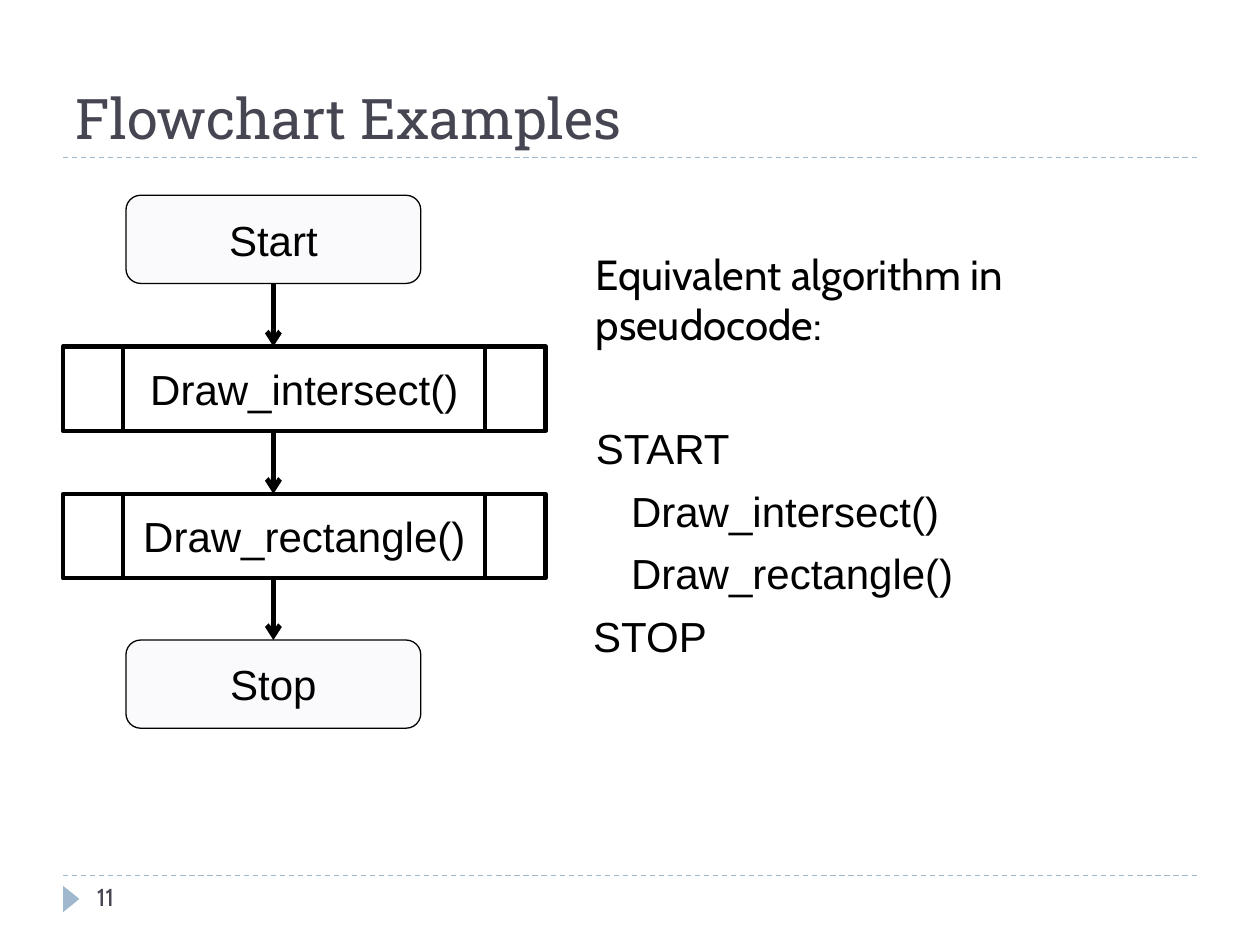
from pptx import Presentation
from pptx.dml.color import RGBColor
from pptx.enum.dml import MSO_LINE_DASH_STYLE as Dash
from pptx.enum.shapes import MSO_CONNECTOR as Connector, MSO_SHAPE as Shape
from pptx.enum.text import MSO_ANCHOR as Anchor, PP_ALIGN as Align
from pptx.oxml.ns import qn
from pptx.util import Inches, Pt
from lxml.etree import SubElement

BLACK = RGBColor(0x00, 0x00, 0x00)
SLATE = RGBColor(0x46, 0x46, 0x53)
BLUE = RGBColor(0x9F, 0xB8, 0xCD)
PALE = RGBColor(0xFA, 0xFA, 0xFC)
FLOW_X = 2.17


def format_font(paragraph, name, size, color):
    for run in paragraph.runs:
        run.font.name = name
        run.font.size = Pt(size)
        run.font.color.rgb = color


def add_title(slide, text):
    title = slide.shapes.title
    title.left, title.top = Inches(0.5), Inches(0.17)
    title.width, title.height = Inches(9), Inches(1.08)
    title.text_frame.text = text
    title.text_frame.vertical_anchor = Anchor.BOTTOM
    paragraph = title.text_frame.paragraphs[0]
    paragraph.alignment = Align.LEFT
    format_font(paragraph, "Roboto Slab", 32, SLATE)


def add_line(slide, start, end, color, width):
    line = slide.shapes.add_connector(
        Connector.STRAIGHT, *(Inches(value) for value in (*start, *end)))
    line.line.color.rgb = color
    line.line.width = Pt(width)
    SubElement(line._element.spPr, qn("a:effectLst"))
    return line


def add_rule(slide, top):
    rule = add_line(slide, (0.5, top), (9.5, top), BLUE, 0.75)
    rule.line.dash_style = Dash.DASH


def add_arrow(slide, top, bottom):
    arrow = add_line(slide, (FLOW_X, top), (FLOW_X, bottom), BLACK, 2.75)
    SubElement(arrow.line._get_or_add_ln(), qn("a:tailEnd"), type="arrow")
    return arrow


def add_marker(slide):
    marker = slide.shapes.add_shape(
        Shape.ISOSCELES_TRIANGLE, Inches(0.46), Inches(7.07), Inches(0.21), Inches(0.13))
    marker.rotation = 90
    marker.shadow.inherit = False
    marker.fill.solid()
    marker.fill.fore_color.rgb = BLUE
    marker.line.fill.background()


def add_step(slide, kind, text, left, top, width, height, line_width):
    step = slide.shapes.add_shape(
        kind, Inches(left), Inches(top), Inches(width), Inches(height))
    step.shadow.inherit = False
    step.line.color.rgb = BLACK
    step.line.width = Pt(line_width)
    step.text_frame.text = text
    step.text_frame.vertical_anchor = Anchor.MIDDLE
    paragraph = step.text_frame.paragraphs[0]
    paragraph.alignment = Align.CENTER
    format_font(paragraph, "Arial", 24, BLACK)
    return step


def add_terminal(slide, text, top):
    terminal = add_step(slide, Shape.ROUNDED_RECTANGLE, text,
                        FLOW_X - 1.17, top, 2.34, 0.7, 0.75)
    terminal.fill.solid()
    terminal.fill.fore_color.rgb = PALE
    return terminal


def add_process(slide, text, top):
    process = add_step(slide, Shape.FLOWCHART_PREDEFINED_PROCESS, text,
                       0.5, top, 3.83, 0.67, 2.5)
    process.fill.background()


def add_text_box(slide, left, top, width, height):
    box = slide.shapes.add_textbox(
        Inches(left), Inches(top), Inches(width), Inches(height))
    box.text_frame.word_wrap = True
    return box.text_frame


def add_pseudocode(slide):
    lines = [
        ("Equivalent algorithm in pseudocode:", "Cabin", 0.3, 0),
        ("START", "Arial", 0.3, 42),
        ("Draw_intersect()", "Arial", 0.58, 7),
        ("Draw_rectangle()", "Arial", 0.58, 7),
        ("STOP", "Arial", 0.28, 7),
    ]
    frame = add_text_box(slide, 4.33, 1.92, 5.42, 4.25)
    frame.text = "\n".join(line[0] for line in lines)
    for paragraph, (_, font, indent, space) in zip(frame.paragraphs, lines):
        paragraph._p.get_or_add_pPr().set("marL", str(Inches(indent)))
        paragraph.space_before = Pt(space)
        format_font(paragraph, font, 24, BLACK)


def add_slide_number(slide, number):
    frame = add_text_box(slide, 0.67, 6.95, 2.17, 0.4)
    frame.text = number
    format_font(frame.paragraphs[0], "Cabin", 14, SLATE)


def add_flowchart(slide):
    start = add_terminal(slide, "Start", 1.55)
    stop = add_terminal(slide, "Stop", 5.08)
    add_process(slide, "Draw_intersect()", 2.75)
    add_process(slide, "Draw_rectangle()", 3.92)
    first = add_arrow(slide, 2.25, 2.75)
    first.begin_connect(start, 2)
    add_arrow(slide, 3.42, 3.92)
    last = add_arrow(slide, 4.58, 5.08)
    last.end_connect(stop, 0)


def main():
    presentation = Presentation()
    presentation.slide_width, presentation.slide_height = Inches(10), Inches(7.5)
    slide = presentation.slides.add_slide(presentation.slide_layouts[5])
    for top in (6.95, 1.25):
        add_rule(slide, top)
    add_marker(slide)
    add_title(slide, "Flowchart Examples")
    add_pseudocode(slide)
    add_flowchart(slide)
    add_slide_number(slide, "11")
    presentation.save("out.pptx")


if __name__ == "__main__":
    main()
